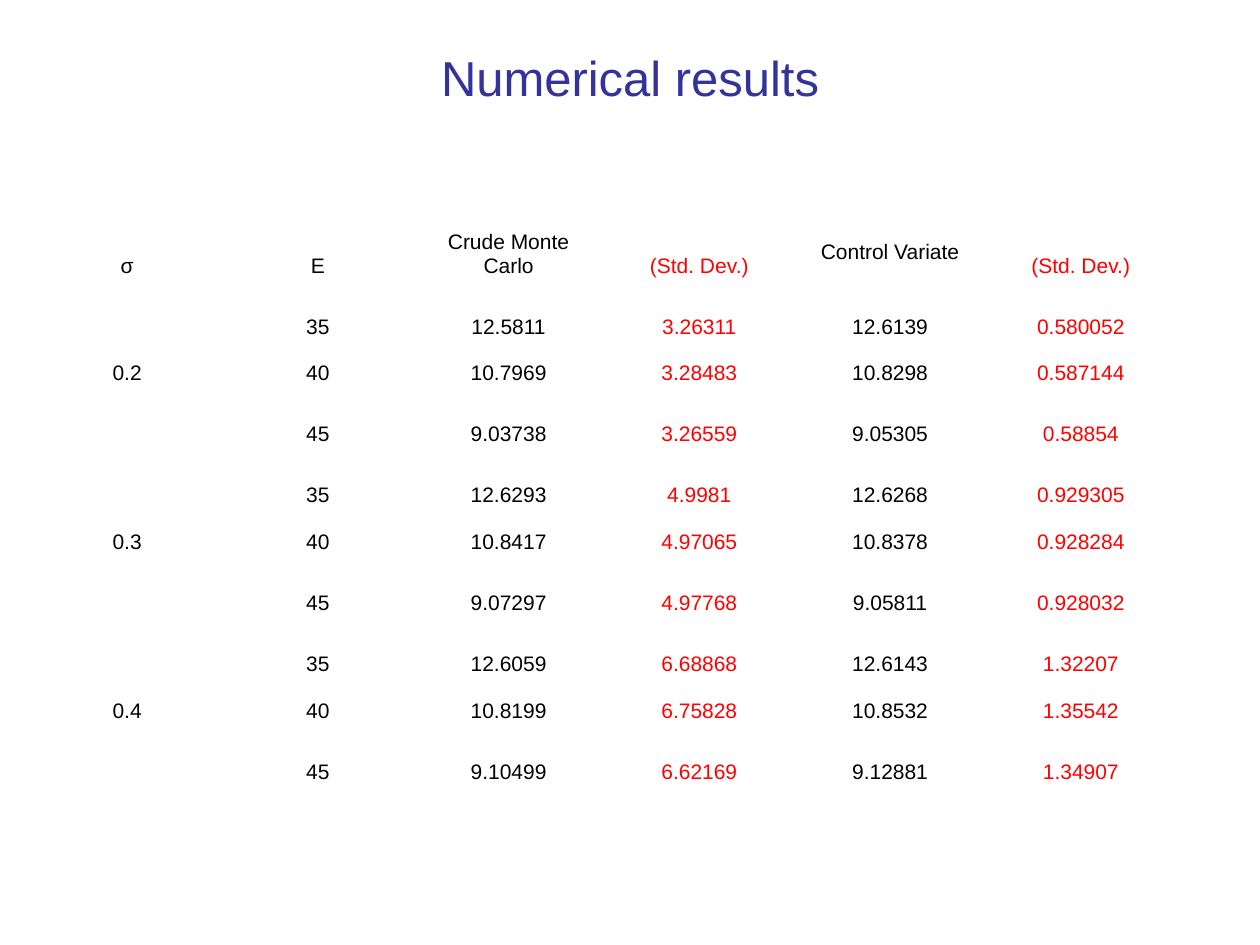
from pptx import Presentation
from pptx.dml.color import RGBColor as Rgb
from pptx.enum.text import MSO_ANCHOR as Anchor, PP_ALIGN as Align
from pptx.util import Cm, Pt

NAVY = Rgb(0x33, 0x33, 0x99)
BLACK = Rgb(0, 0, 0)
RED = Rgb(0xFF, 0, 0)

HEADS = ["σ", "E", "Crude Monte\nCarlo", "(Std. Dev.)", "Control Variate", "(Std. Dev.)"]
GROUPS = {
    "0.2": [
        ["35", "12.5811", "3.26311", "12.6139", "0.580052"],
        ["40", "10.7969", "3.28483", "10.8298", "0.587144"],
        ["45", "9.03738", "3.26559", "9.05305", "0.58854"],
    ],
    "0.3": [
        ["35", "12.6293", "4.9981", "12.6268", "0.929305"],
        ["40", "10.8417", "4.97065", "10.8378", "0.928284"],
        ["45", "9.07297", "4.97768", "9.05811", "0.928032"],
    ],
    "0.4": [
        ["35", "12.6059", "6.68868", "12.6143", "1.32207"],
        ["40", "10.8199", "6.75828", "10.8532", "1.35542"],
        ["45", "9.10499", "6.62169", "9.12881", "1.34907"],
    ],
}


class Deck:
    font = "Arial"

    def __init__(self, width, height):
        self.file = Presentation()
        self.file.slide_width, self.file.slide_height = Cm(width), Cm(height)
        self.slide = self.file.slides.add_slide(self.file.slide_layouts[6])

    def label(self, frame, text, size, color):
        frame.text = text
        for para in frame.paragraphs:
            para.alignment = Align.CENTER
            for run in para.runs:
                run.font.name = self.font
                run.font.size = Pt(size)
                run.font.color.rgb = color

    def title(self, text, left, top, width, height):
        box = self.slide.shapes.add_textbox(Cm(left), Cm(top), Cm(width), Cm(height))
        frame = box.text_frame
        frame.word_wrap = True
        frame.vertical_anchor = Anchor.MIDDLE
        self.label(frame, text, 28, NAVY)

    def table(self, rows, left, top, width, heights):
        count = len(rows[0])
        grid = self.slide.shapes.add_table(
            len(rows), count, Cm(left), Cm(top), Cm(width), Cm(sum(heights))
        ).table
        grid.first_row = grid.horz_banding = False
        for col in grid.columns:
            col.width = Cm(width / count)
        for i, (row, height) in enumerate(zip(rows, heights)):
            grid.rows[i].height = Cm(height)
            for j, text in enumerate(row):
                cell = grid.cell(i, j)
                cell.fill.background()
                cell.vertical_anchor = Anchor.BOTTOM
                if text:
                    color = RED if j in (3, 5) else BLACK
                    self.label(cell.text_frame, text, 12, color)
        grid.cell(0, 4).vertical_anchor = Anchor.MIDDLE

    def save(self):
        self.file.save("out.pptx")


def main():
    deck = Deck(25.4, 19.05)
    deck.title("Numerical results", 1.27, 0.76, 22.86, 1.57)
    rows = [HEADS]
    for sigma, lines in GROUPS.items():
        for mark, line in zip(["", sigma, ""], lines):
            rows.append([mark] + line)
    heights = [1.27] + [1.23, 0.94, 1.23] * len(GROUPS)
    deck.table(rows, 0.64, 4.45, 23.07, heights)
    deck.save()


if __name__ == "__main__":
    main()
